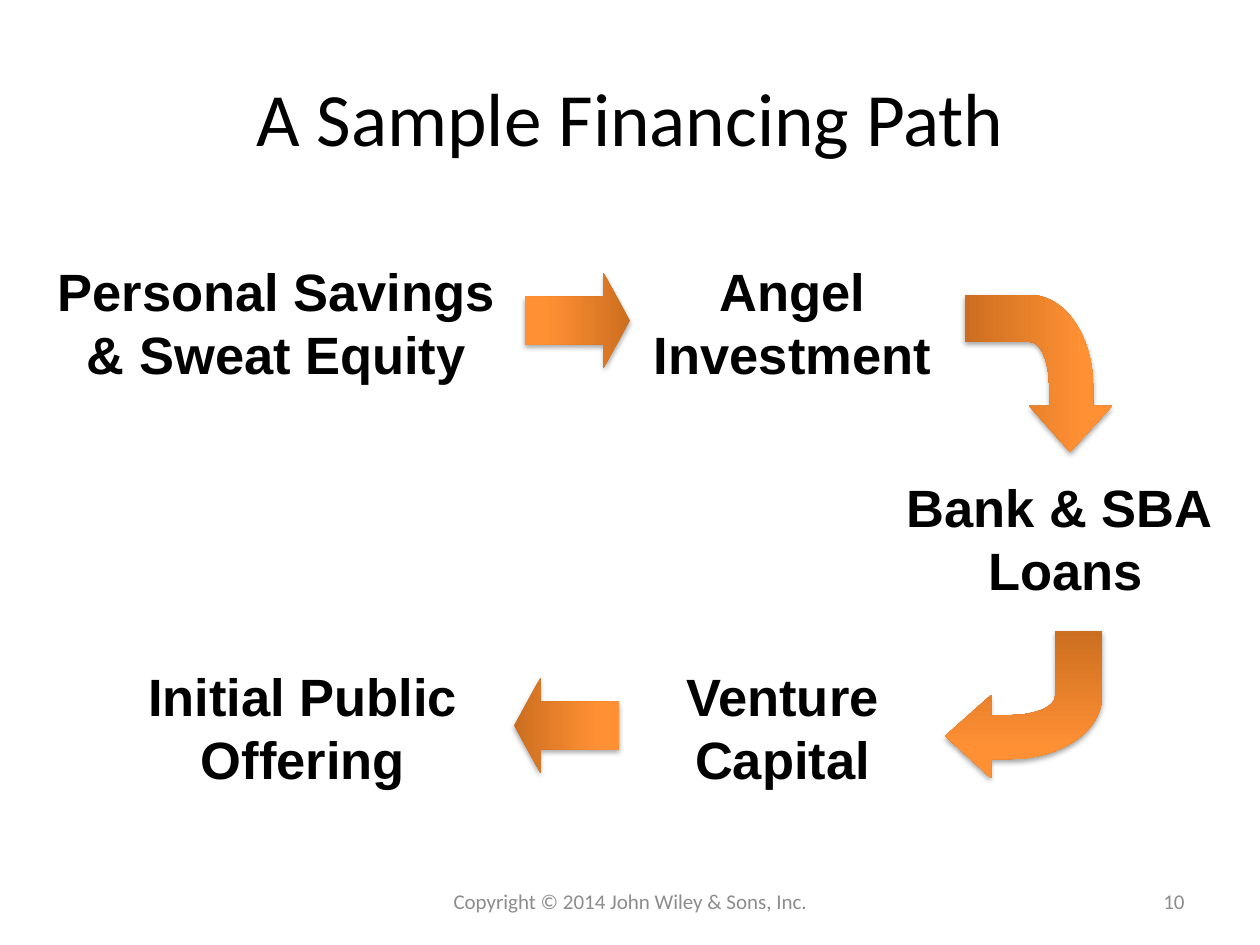
from dataclasses import dataclass
from math import cos, pi, sin

from lxml import etree
from pptx import Presentation
from pptx import util as u
from pptx.dml.color import RGBColor
from pptx.enum import shapes, text
from pptx.oxml import parse_xml
from pptx.oxml.ns import nsdecls

PX = u.Inches(1) / 126


@dataclass(frozen=True)
class Theme:
    body_font: str = "Calibri"
    stage_font: str = "Arial"
    title_size: int = 43
    stage_size: int = 30
    footer_size: int = 12
    ink: str = "000000"
    footer: str = "8C8C8C"
    arrow_stops: tuple = ((0, "CC6E20"), (80, "FF9034"), (100, "FF9136"))


THEME = Theme()
ALIGN = text.PP_ALIGN

STAGES = [
    (("Personal Savings", "& Sweat Equity"), (43, 253, 467, 140)),
    (("Angel", "Investment"), (640, 253, 305, 140)),
    (("Bank & SBA ", "Loans"), (892, 469, 348, 140)),
    (("Venture", "Capital"), (673, 658, 219, 140)),
    (("Initial Public", "Offering"), (134, 658, 338, 140)),
]
# Left, top and rotation
STRAIGHT_ARROWS = [(530, 268, 270), (519, 673, 90)]
CURVED_ARROWS = [(960, 300, 90), (945, 631, 180)]


def px(*lengths):
    return [u.Emu(round(length * PX)) for length in lengths]


def add_text(slide, lines, box, font, size, color, align=ALIGN.CENTER, bold=False):
    shape = slide.shapes.add_textbox(*px(*box))
    frame = shape.text_frame
    frame.word_wrap = True
    frame.vertical_anchor = text.MSO_ANCHOR.MIDDLE
    frame.text = "\n".join(lines)
    for paragraph in frame.paragraphs:
        paragraph.alignment = align
        for run in paragraph.runs:
            run.font.name = font
            run.font.size = u.Pt(size)
            run.font.bold = bold
            run.font.color.rgb = RGBColor.from_string(color)
    return frame


def add_stage(slide, lines, box):
    frame = add_text(slide, lines, box, THEME.stage_font, THEME.stage_size,
                     THEME.ink, bold=True)
    frame.word_wrap = False
    frame.auto_size = text.MSO_AUTO_SIZE.SHAPE_TO_FIT_TEXT
    frame.vertical_anchor = text.MSO_ANCHOR.TOP


def style_arrow(shape, rotation):
    """Turn the arrow and give it the orange gradient and a soft shadow below."""
    shape.rotation = rotation
    shape.line.fill.background()
    shape.shadow.inherit = False
    shape.fill.background()
    properties = shape.fill._xPr
    stops = "".join(
        f'<a:gs pos="{position * 1000}"><a:srgbClr val="{color}"/></a:gs>'
        for position, color in THEME.arrow_stops)
    gradient = parse_xml(
        f'<a:gradFill {nsdecls("a")} rotWithShape="1"><a:gsLst>{stops}</a:gsLst>'
        '<a:lin ang="16200000" scaled="0"/></a:gradFill>')
    # The shape's own fill, not the one inside its line
    old_fill = properties.find("{*}noFill")
    properties.replace(old_fill, gradient)
    shadow = etree.SubElement(
        properties.find("{*}effectLst"), gradient.tag.replace("gradFill", "outerShdw"),
        blurRad=str(u.Pt(3.1)), dist=str(u.Pt(1.8)), dir="5400000", rotWithShape="0")
    shadow.append(parse_xml(
        f'<a:srgbClr {nsdecls("a")} val="000000"><a:alpha val="35000"/></a:srgbClr>'))


def add_straight_arrow(slide, left, top, rotation):
    arrow = slide.shapes.add_shape(shapes.MSO_SHAPE.DOWN_ARROW, *px(left, top, 95, 105))
    arrow.adjustments[0] = 0.5
    arrow.adjustments[1] = 0.278
    style_arrow(arrow, rotation)


def quarter_arc(center_x, center_y, radius_x, radius_y, steps=24):
    """Points from the top of an ellipse round to its left side."""
    angles = [pi / 2 * step / steps for step in range(steps + 1)]
    return [(center_x - radius_x * sin(angle), center_y - radius_y * cos(angle))
            for angle in angles]


def add_curved_arrow(slide, left, top, rotation):
    """Arrow with its tail at the lower left, bending to a head on the right."""
    outer = quarter_arc(91, 82, 91, 63)
    inner = quarter_arc(91, 82, 44, 19)[::-1]
    outline = [(111, 0), (111, 19), *outer, (0, 147), (47, 147), *inner,
               (111, 63), (111, 83)]
    builder = slide.shapes.build_freeform(157 * 100, 42 * 100, scale=PX / 100)
    builder.add_line_segments(
        [(round(x * 100), round(y * 100)) for x, y in outline], close=True)
    style_arrow(builder.convert_to_shape(*px(left, top)), rotation)


def main():
    presentation = Presentation()
    presentation.slide_width, presentation.slide_height = px(1260, 945)
    slide = presentation.slides.add_slide(presentation.slide_layouts[6])

    add_text(slide, ["A Sample Financing Path"], (63, 38, 1134, 157),
             THEME.body_font, THEME.title_size, THEME.ink)
    for arrow in CURVED_ARROWS:
        add_curved_arrow(slide, *arrow)
    for arrow in STRAIGHT_ARROWS:
        add_straight_arrow(slide, *arrow)
    for lines, box in STAGES:
        add_stage(slide, lines, box)

    footer_style = (THEME.body_font, THEME.footer_size, THEME.footer)
    add_text(slide, ["Copyright © 2014 John Wiley & Sons, Inc."],
             (431, 876, 399, 50), *footer_style)
    add_text(slide, ["10"], (903, 876, 294, 50), *footer_style, align=ALIGN.RIGHT)
    presentation.save("out.pptx")


if __name__ == "__main__":
    main()
